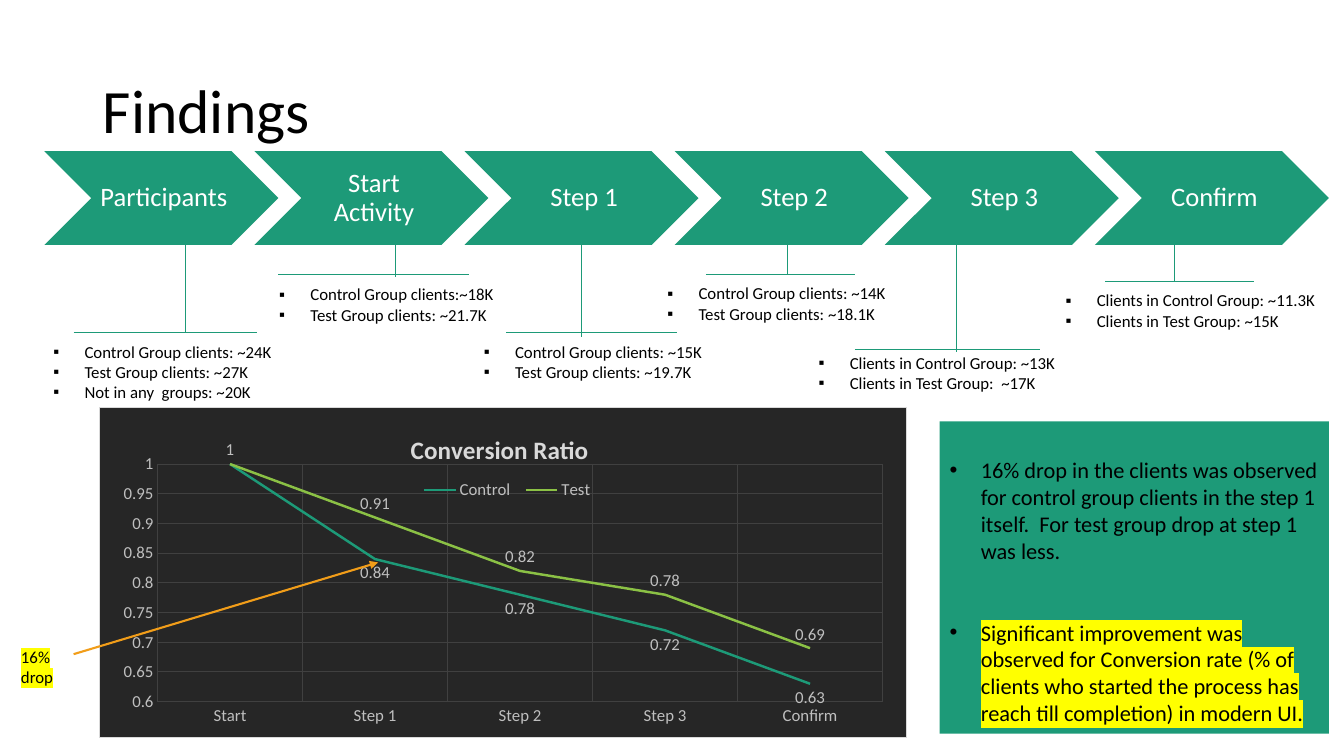
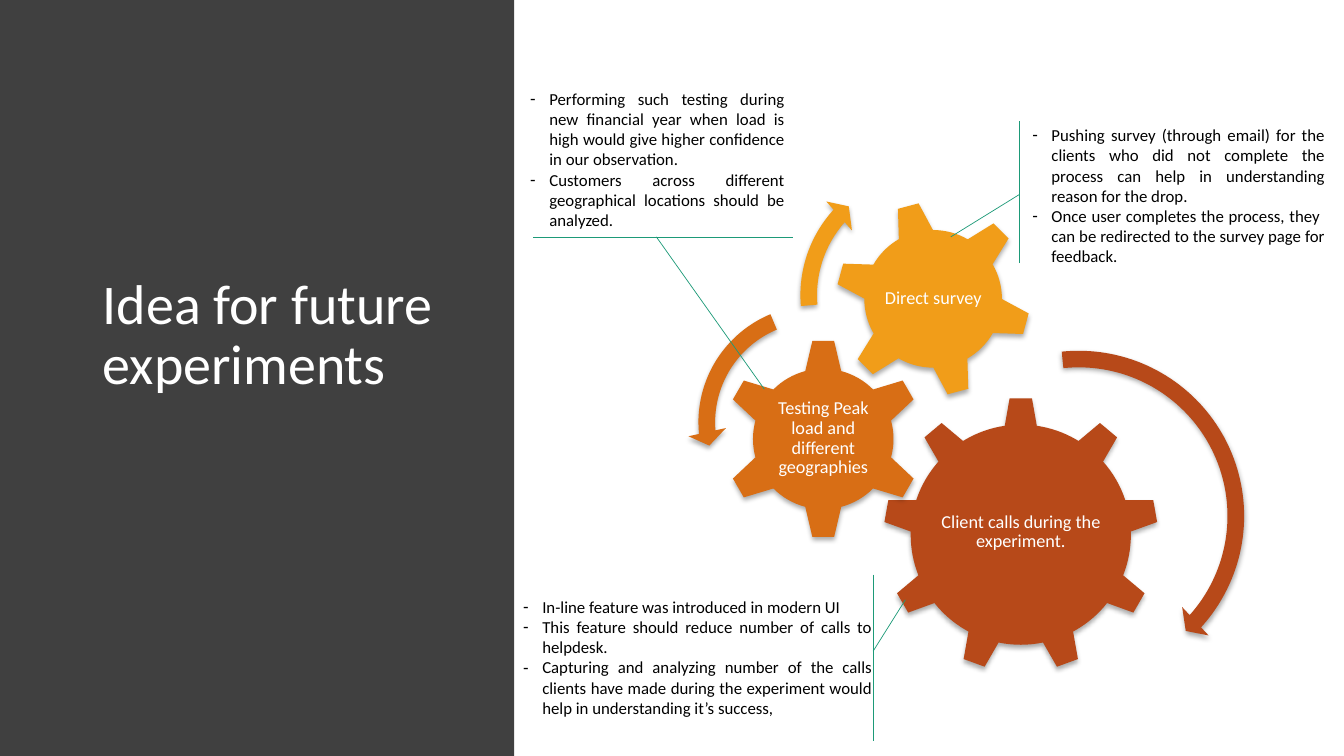
"""Build two slides: experiment findings and ideas for future experiments."""
import pptx
import pptx.chart.data
import pptx.dml.color
import pptx.enum.chart
import pptx.enum.dml
import pptx.enum.shapes
import pptx.enum.text
import pptx.oxml
import pptx.oxml.ns
import pptx.util

Inches = pptx.util.Inches
Pt = pptx.util.Pt
RGBColor = pptx.dml.color.RGBColor
SHAPE = pptx.enum.shapes.MSO_SHAPE
ALIGN = pptx.enum.text.PP_ALIGN
ANCHOR = pptx.enum.text.MSO_ANCHOR
qn = pptx.oxml.ns.qn
parse_xml = pptx.oxml.parse_xml
NS = pptx.oxml.ns.nsdecls("a", "c")

FONT = "Calibri"
BLACK = RGBColor(0x00, 0x00, 0x00)
WHITE = RGBColor(0xFF, 0xFF, 0xFF)
GREEN = RGBColor(0x1D, 0x9A, 0x78)
LIME = RGBColor(0x8B, 0xC1, 0x45)
AMBER = RGBColor(0xF1, 0x9D, 0x19)
ORANGE = RGBColor(0xD8, 0x6E, 0x15)
RUST = RGBColor(0xB7, 0x49, 0x19)
YELLOW = RGBColor(0xFF, 0xFF, 0x00)
PANEL = RGBColor(0x40, 0x40, 0x40)
CHART_BG = RGBColor(0x26, 0x26, 0x26)
CHART_EDGE = RGBColor(0xD9, 0xD9, 0xD9)
CHART_TEXT = RGBColor(0xBF, 0xBF, 0xBF)


def write(tf, lines, size=12, color=BLACK, bullet=None, indent=0.31,
          align=ALIGN.LEFT, spacing=1.0, marked=()):
    """Fill a text frame with formatted paragraphs."""
    tf.word_wrap = True
    for i, line in enumerate(lines):
        p = tf.paragraphs[0] if i == 0 else tf.add_paragraph()
        p.text = line
        p.alignment = align
        p.line_spacing = spacing
        if bullet:
            pPr = p._p.get_or_add_pPr()
            pPr.set("marL", str(Inches(indent)))
            pPr.set("indent", str(-Inches(indent)))
            pPr.append(parse_xml(f'<a:buFont {NS} typeface="Arial"/>'))
            pPr.append(parse_xml(f'<a:buChar {NS} char="{bullet}"/>'))
        for r in p.runs:
            r.font.name = FONT
            r.font.size = Pt(size)
            r.font.color.rgb = color
            if i in marked:
                r._r.rPr.find(qn("a:solidFill")).addnext(parse_xml(
                    f'<a:highlight {NS}><a:srgbClr val="{YELLOW}"/></a:highlight>'))


def draw_line(s, x1, y1, x2, y2, color=GREEN, width=0.5, arrow=False):
    """Draw a straight line, with an arrowhead at its end if asked."""
    line = s.shapes.add_connector(pptx.enum.shapes.MSO_CONNECTOR.STRAIGHT,
                                  Inches(x1), Inches(y1), Inches(x2), Inches(y2))
    line.line.color.rgb = color
    line.line.width = Pt(width)
    if arrow:
        line.line._get_or_add_ln().append(parse_xml(f'<a:tailEnd {NS} type="triangle"/>'))
    line._element.spPr.append(parse_xml(f"<a:effectLst {NS}/>"))


prs = pptx.Presentation()
prs.slide_width = Inches(13.33)
prs.slide_height = Inches(7.5)

slides = []
for title, box, size, color in [
    ("Findings", (0.92, 0.4, 11.5, 1.45), 44, BLACK),
    ("Idea for future experiments", (0.92, 0.68, 3.67, 5.92), 40, WHITE),
]:
    s = prs.slides.add_slide(prs.slide_layouts[5])
    sp = s.shapes.title
    sp.left, sp.top, sp.width, sp.height = [Inches(v) for v in box]
    tf = sp.text_frame
    tf.auto_size = pptx.enum.text.MSO_AUTO_SIZE.NONE
    tf.vertical_anchor = ANCHOR.MIDDLE
    write(tf, [title], size, color, spacing=0.9)
    slides.append(s)
findings, ideas = slides

for i, label in enumerate(["Participants", "Start Activity", "Step 1", "Step 2", "Step 3", "Confirm"]):
    sp = findings.shapes.add_shape(SHAPE.CHEVRON, Inches(0.44 + i * 2.084), Inches(1.5),
                                   Inches(2.32), Inches(0.93))
    sp.shadow.inherit = False
    sp.fill.solid()
    sp.fill.fore_color.rgb = GREEN
    sp.line.fill.background()
    tf = sp.text_frame
    tf.margin_left = Inches(0.08)
    tf.margin_right = tf.margin_top = tf.margin_bottom = Inches(0.03)
    tf.vertical_anchor = ANCHOR.MIDDLE
    write(tf, [label], 19, WHITE, align=ALIGN.CENTER, spacing=0.9)

callouts = [
    ((1.84, 2.39, 3.3), (0.73, 2.55, 3.3), (0.43, 3.34, 3.02, 0.91),
     ["Control Group clients: ~24K", "Test Group clients: ~27K", "Not in any  groups: ~20K"]),
    ((3.92, 2.3, 2.75), (2.76, 4.65, 2.72), (2.67, 2.77, 2.34, 0.91),
     ["Control Group clients:~18K", "Test Group clients: ~21.7K"]),
    ((5.77, 2.34, 3.34), (5.02, 6.71, 3.3), (4.7, 3.34, 2.49, 0.5),
     ["Control Group clients: ~15K", "Test Group clients: ~19.7K"]),
    ((7.81, 2.27, 2.72), (7, 8.48, 2.72), (6.52, 2.76, 2.49, 0.71),
     ["Control Group clients: ~14K", "Test Group clients: ~18.1K"]),
    ((9.49, 2.34, 3.49), (8.48, 10.32, 3.47), (8.02, 3.45, 2.6, 0.71),
     ["Clients in Control Group: ~13K", "Clients in Test Group:  ~17K"]),
    ((11.65, 2.34, 2.79), (10.96, 12.44, 2.79), (10.47, 2.83, 2.75, 0.5),
     ["Clients in Control Group: ~11.3K", "Clients in Test Group: ~15K"]),
]
for (x, top, bottom), (left, right, y), box, lines in callouts:
    draw_line(findings, x, top, x, bottom)
    draw_line(findings, left, y, right, y)
    tb = findings.shapes.add_textbox(*[Inches(v) for v in box])
    write(tb.text_frame, lines, bullet="▪")

data = pptx.chart.data.CategoryChartData()
data.categories = ["Start", "Step 1", "Step 2", "Step 3", "Confirm"]
data.add_series("Control", [1, 0.84, 0.78, 0.72, 0.63])
data.add_series("Test", [1, 0.91, 0.82, 0.78, 0.69])
chart = findings.shapes.add_chart(pptx.enum.chart.XL_CHART_TYPE.LINE, Inches(0.98), Inches(4.04),
                                  Inches(8.02), Inches(3.28), data).chart
chart.font.name = FONT
chart.font.size = Pt(12)
chart.font.color.rgb = CHART_TEXT
chart.has_title = True
tf = chart.chart_title.text_frame
tf.text = "Conversion Ratio"
font = tf.paragraphs[0].runs[0].font
font.name, font.size, font.bold = FONT, Pt(18), True
font.color.rgb = CHART_EDGE
chart.has_legend = True
chart.legend.position = pptx.enum.chart.XL_LEGEND_POSITION.TOP
chart.legend.include_in_layout = False

for axis in (chart.category_axis, chart.value_axis):
    axis.major_tick_mark = axis.minor_tick_mark = pptx.enum.chart.XL_TICK_MARK.NONE
    axis.format.line.fill.background()
    axis.has_major_gridlines = True
    axis.major_gridlines.format.line.color.rgb = RGBColor(0x59, 0x59, 0x59)
    axis.major_gridlines.format.line.color.rgb = PANEL
    axis.major_gridlines.format.line.width = Pt(0.75)
chart.value_axis.minimum_scale = 0.6
chart.value_axis.maximum_scale = 1
chart.value_axis.major_unit = 0.05

chart.plots[0].vary_by_categories = False
POSITION = pptx.enum.chart.XL_LABEL_POSITION
for series, color, position in zip(chart.plots[0].series, (GREEN, LIME),
                                   (POSITION.BELOW, POSITION.ABOVE)):
    series.smooth = False
    series.format.line.color.rgb = color
    series.format.line.width = Pt(1.75)
    labels = series.data_labels
    labels.show_value = True
    labels.position = position
    labels.font.name = FONT
    labels.font.size = Pt(12)
    labels.font.color.rgb = CHART_TEXT
chart.plots[0].series[0].data_labels._element.insert(0, parse_xml(
    f'<c:dLbl {NS}><c:idx val="0"/><c:delete val="1"/></c:dLbl>'))

chart_el = chart._chartSpace.find(qn("c:chart"))
for tag, before, target, (x, y, w, h) in [
    ("c:title", "c:tx", "", (0.38, 0.06, 0, 0)),
    ("c:plotArea", None, '<c:layoutTarget val="inner"/>', (0.072, 0.171, 0.898, 0.721)),
    ("c:legend", "c:legendPos", "", (0.39, 0.21, 0.23, 0.08)),
]:
    part = chart_el.find(qn(tag))
    for old in part.findall(qn("c:layout")):
        part.remove(old)
    extent = f'<c:w val="{w}"/><c:h val="{h}"/>' if w else ""
    layout = parse_xml(
        f'<c:layout {NS}><c:manualLayout>{target}<c:xMode val="edge"/><c:yMode val="edge"/>'
        f'<c:x val="{x}"/><c:y val="{y}"/>{extent}</c:manualLayout></c:layout>')
    if before:
        part.find(qn(before)).addnext(layout)
    else:
        part.insert(0, layout)
chart_el.addnext(parse_xml(
    f'<c:spPr {NS}><a:solidFill><a:srgbClr val="{CHART_BG}"/></a:solidFill>'
    f'<a:ln w="{Pt(0.75)}"><a:solidFill><a:srgbClr val="{CHART_EDGE}"/></a:solidFill></a:ln></c:spPr>'))

draw_line(findings, 0.73, 6.49, 3.75, 5.58, AMBER, 1.5, arrow=True)
tb = findings.shapes.add_textbox(Inches(0.11), Inches(6.37), Inches(0.62), Inches(0.5))
write(tb.text_frame, ["16% drop"], marked=(0,))

sp = findings.shapes.add_shape(SHAPE.RECTANGLE, Inches(9.32), Inches(4.18), Inches(3.86), Inches(3.1))
sp.shadow.inherit = False
sp.fill.solid()
sp.fill.fore_color.rgb = GREEN
sp.line.fill.background()
tf = sp.text_frame
tf.vertical_anchor = ANCHOR.TOP
tf.margin_top = Inches(0.35)
write(tf, [
    "16% drop in the clients was observed for control group clients in the step 1 itself.  "
    "For test group drop at step 1 was less.",
    "Significant improvement was observed for Conversion rate (% of clients who started the "
    "process has reach till completion) in modern UI.",
], 16, bullet="•", marked=(1,))
tf.paragraphs[1].space_before = Pt(39)

panel = ideas.shapes.add_shape(SHAPE.RECTANGLE, 0, 0, Inches(5.1), prs.slide_height)
panel.shadow.inherit = False
panel.fill.solid()
panel.fill.fore_color.rgb = PANEL
panel.line.fill.background()
ideas.shapes.title._element.addprevious(panel._element)
ideas.shapes.title.text_frame.margin_bottom = Inches(0.66)

for kind, x, y, size, color, rotation, adjustments in [
    (SHAPE.GEAR_9, 8.76, 3.94, 2.73, RUST, 0, ()),
    (SHAPE.GEAR_6, 7.17, 3.36, 1.99, ORANGE, 0, ()),
    (SHAPE.GEAR_6, 8.28, 1.99, 1.95, AMBER, 345, ()),
    (SHAPE.CIRCULAR_ARROW, 8.95, 3.37, 3.5, RUST, 0, (0.047, 2.99, 25.239, 158.447, 0.055)),
    (SHAPE.LEFT_CIRCULAR_ARROW, 6.82, 2.92, 2.54, ORANGE, 0, (0.065, 4.3, 104.891, 148.378, 0.075)),
    (SHAPE.CIRCULAR_ARROW, 7.83, 1.56, 2.74, AMBER, 0, (0.06, 3.941, 133.138, 105.082, 0.07)),
]:
    sp = ideas.shapes.add_shape(kind, Inches(x), Inches(y), Inches(size), Inches(size))
    sp.rotation = rotation
    for i, value in enumerate(adjustments):
        sp.adjustments[i] = value
    sp.fill.solid()
    sp.fill.fore_color.rgb = color
    sp.line.fill.background()
    sp.shadow.inherit = False
    sp._element.spPr.find(qn("a:effectLst")).append(parse_xml(
        f'<a:outerShdw {NS} blurRad="{Pt(3.5)}" dist="{Pt(2.2)}" dir="5400000" rotWithShape="0">'
        f'<a:srgbClr val="{BLACK}"><a:alpha val="32000"/></a:srgbClr></a:outerShdw>'))

for label, box in [
    ("Client calls during the experiment.", (9.31, 4.58, 1.63, 1.4)),
    ("Testing Peak load and different geographies", (7.67, 3.86, 0.99, 0.98)),
    ("Direct survey", (8.71, 2.42, 1.09, 1.09)),
]:
    tf = ideas.shapes.add_textbox(*[Inches(v) for v in box]).text_frame
    tf.margin_left = tf.margin_right = tf.margin_top = tf.margin_bottom = Inches(0.02)
    tf.vertical_anchor = ANCHOR.MIDDLE
    write(tf, [label], 13, WHITE, align=ALIGN.CENTER, spacing=0.9)

for box, lines, rule, leader in [
    ((10.14, 1.19, 3.1, 1.51),
     ["Pushing survey (through email) for the clients who did not complete the process can help "
      "in understanding reason for the drop.",
      "Once user completes the process, they  can be redirected to the survey page for feedback."],
     (10.11, 2.61, 10.11, 1.2), (10.11, 1.93, 9.43, 2.35)),
    ((5.09, 5.87, 3.66, 1.31),
     ["In-line feature was introduced in modern UI",
      "This feature should reduce number of calls to helpdesk.",
      "Capturing and analyzing number of the calls clients have made during the experiment would "
      "help in understanding it’s success,"],
     (8.66, 5.7, 8.66, 7.35), (8.66, 6.46, 8.98, 5.95)),
    ((5.16, 0.83, 2.72, 1.51),
     ["Performing such testing during new financial year when load is high would give higher "
      "confidence in our observation.",
      "Customers across different geographical locations should be analyzed."],
     (5.29, 2.35, 7.87, 2.35), (6.51, 2.35, 7.58, 3.86)),
]:
    tb = ideas.shapes.add_textbox(*[Inches(v) for v in box])
    write(tb.text_frame, lines, bullet="-", indent=0.19, align=ALIGN.JUSTIFY)
    draw_line(ideas, *rule)
    draw_line(ideas, *leader)

prs.save("out.pptx")
